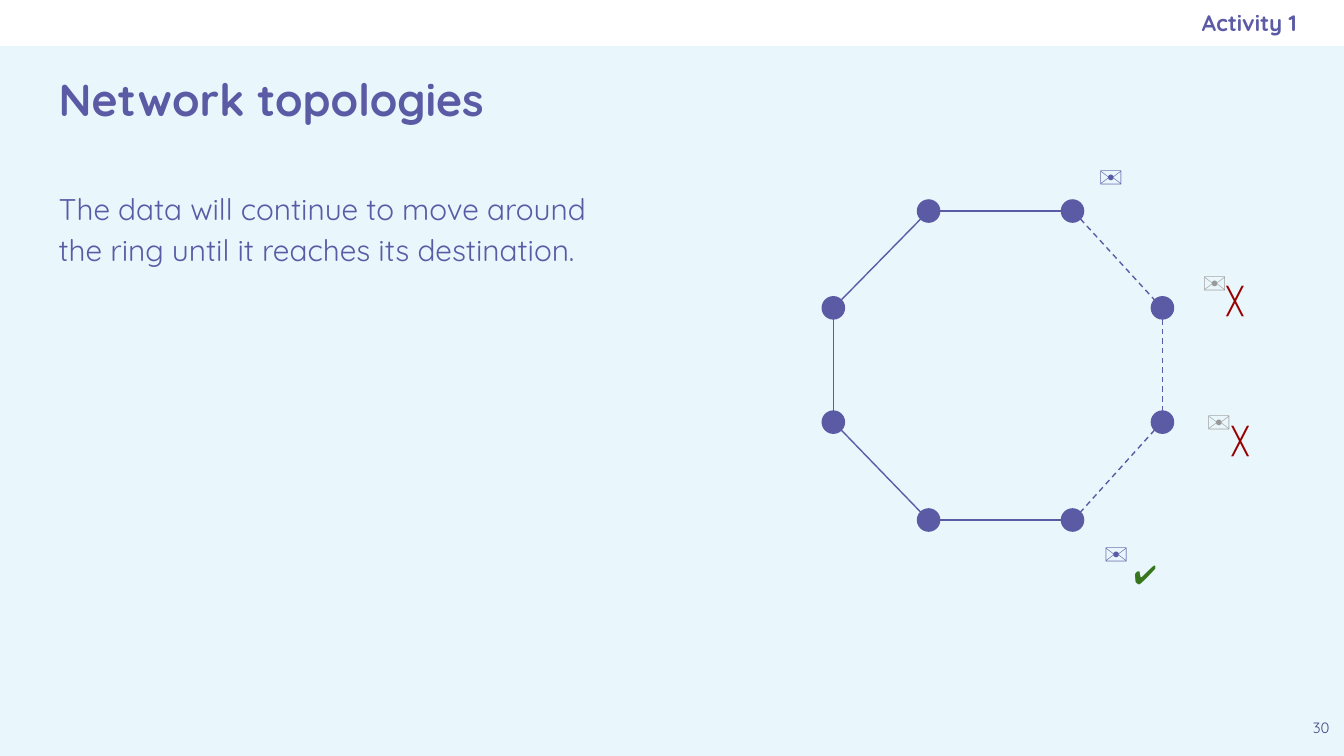
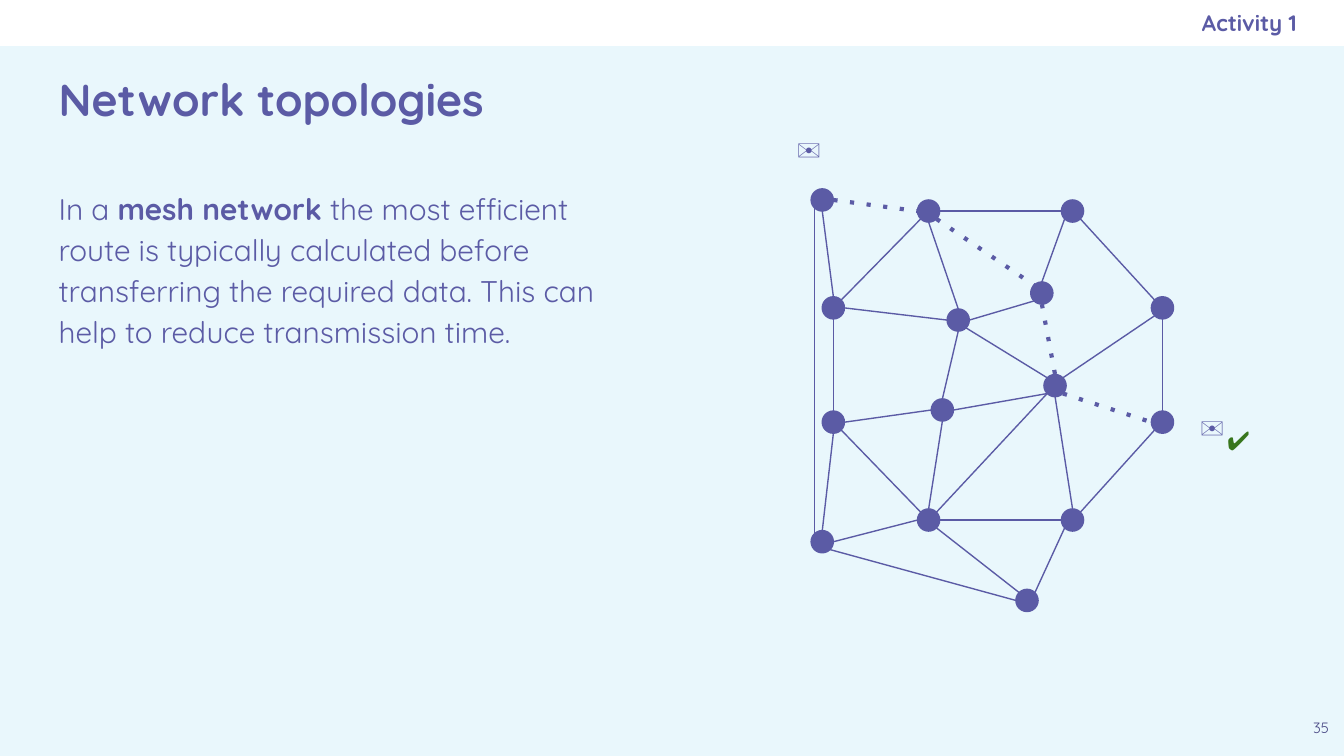
from dataclasses import dataclass
from enum import Enum
from typing import NamedTuple

import pptx
import pptx.dml.color
import pptx.enum.dml
import pptx.enum.shapes
import pptx.enum.text
import pptx.oxml.ns
import pptx.shapes.connector
import pptx.slide
import pptx.text.text
import pptx.util
from lxml import etree
from pptx.util import Cm


@dataclass(frozen=True)
class Theme:
    font: str = "Quicksand"
    background: str = "E9F7FC"
    band: str = "FFFFFF"
    main: str = "5B5BA5"
    page_number: str = "494985"
    faded: str = "999999"
    wrong: str = "980000"
    right: str = "38761D"
    title_size: int = 24
    envelope_size: int = 18
    body_size: int = 16
    mark_size: int = 14
    header_size: int = 12
    number_size: int = 8


THEME = Theme()
Align = pptx.enum.text.PP_ALIGN
Anchor = pptx.enum.text.MSO_ANCHOR
Preset = pptx.enum.shapes.MSO_SHAPE
SLIDE_WIDTH, SLIDE_HEIGHT = 25.4, 14.29
BAND_HEIGHT = 0.87
MARGIN = 0.86
INSET = 0.25
NODE_SIZE = 0.42
DIAGONAL = 0.71


class Span(NamedTuple):
    text: str
    bold: bool = False


class Frame(NamedTuple):
    """Left, top, width and height in centimetres."""
    left: float
    top: float
    width: float
    height: float

    def lengths(self) -> list[pptx.util.Length]:
        return [Cm(value) for value in self]


class Point(NamedTuple):
    x: float
    y: float


class Side(Enum):
    """Direction from a node's centre to a point on its rim."""
    N = (0, -1)
    NE = (DIAGONAL, -DIAGONAL)
    E = (1, 0)
    SE = (DIAGONAL, DIAGONAL)
    S = (0, 1)
    SW = (-DIAGONAL, DIAGONAL)
    W = (-1, 0)
    NW = (-DIAGONAL, -DIAGONAL)


class Link(NamedTuple):
    start: str
    start_side: Side
    end: str
    end_side: Side


class LinkStyle(NamedTuple):
    width: float
    dash: str = ""


class Symbol(NamedTuple):
    text: str
    size: int
    color: str
    width: float
    height: float


class Placed(NamedTuple):
    symbol: Symbol
    left: float
    top: float


@dataclass(frozen=True)
class Topology:
    number: str
    body: tuple[Span, ...]
    nodes: dict[str, Point]
    links: tuple[tuple[LinkStyle, tuple[Link, ...]], ...]
    symbols: tuple[Placed, ...]


PLAIN = LinkStyle(0.75)
DASHED = LinkStyle(0.75, "dash")
DOTTED = LinkStyle(2.25, "dot")

ENVELOPE = Symbol("✉", THEME.envelope_size, THEME.main, 1.19, 1.27)
FADED_ENVELOPE = ENVELOPE._replace(color=THEME.faded)
CROSS = Symbol("╳", THEME.mark_size, THEME.wrong, 1.09, 1.12)
TICK = CROSS._replace(text="✔", color=THEME.right)

RING_NODES = {
    "left upper": Point(15.75, 5.82),
    "top left": Point(17.55, 3.99),
    "top right": Point(20.27, 3.99),
    "right upper": Point(21.97, 5.82),
    "left lower": Point(15.75, 7.98),
    "right lower": Point(21.97, 7.98),
    "bottom left": Point(17.55, 9.83),
    "bottom right": Point(20.27, 9.83),
}
MESH_NODES = RING_NODES | {
    "top corner": Point(15.54, 3.78),
    "inner west": Point(18.11, 6.05),
    "inner south": Point(17.81, 7.75),
    "hub": Point(19.94, 7.29),
    "inner north": Point(19.69, 5.54),
    "foot": Point(19.41, 11.35),
    "bottom corner": Point(15.54, 10.24),
}

RING_RIGHT = (
    Link("top right", Side.SE, "right upper", Side.NW),
    Link("right upper", Side.S, "right lower", Side.N),
    Link("right lower", Side.SW, "bottom right", Side.NE),
)
RING_REST = (
    Link("top left", Side.E, "top right", Side.W),
    Link("bottom right", Side.W, "bottom left", Side.E),
    Link("bottom left", Side.NW, "left lower", Side.SE),
    Link("left lower", Side.N, "left upper", Side.S),
    Link("left upper", Side.NE, "top left", Side.SW),
)
MESH_LINKS = (
    Link("top corner", Side.S, "left upper", Side.N),
    Link("left lower", Side.S, "bottom corner", Side.N),
    Link("bottom corner", Side.E, "bottom left", Side.W),
    Link("top corner", Side.SW, "bottom corner", Side.NW),
    Link("bottom corner", Side.SE, "foot", Side.W),
    Link("bottom left", Side.SE, "foot", Side.NW),
    Link("bottom right", Side.SW, "foot", Side.NE),
    Link("inner south", Side.S, "bottom left", Side.N),
    Link("inner south", Side.W, "left lower", Side.E),
    Link("inner west", Side.S, "inner south", Side.N),
    Link("left upper", Side.E, "inner west", Side.W),
    Link("top left", Side.S, "inner west", Side.N),
    Link("inner north", Side.N, "top right", Side.SW),
    Link("inner west", Side.E, "inner north", Side.SW),
    Link("inner south", Side.E, "hub", Side.SW),
    Link("inner west", Side.SE, "hub", Side.NW),
    Link("hub", Side.NE, "right upper", Side.SW),
    Link("hub", Side.S, "bottom right", Side.N),
    Link("hub", Side.SW, "bottom left", Side.NE),
)
MESH_ROUTE = (
    Link("top corner", Side.E, "top left", Side.W),
    Link("top left", Side.SE, "inner north", Side.NW),
    Link("inner north", Side.S, "hub", Side.N),
    Link("hub", Side.SE, "right lower", Side.W),
)

TOPOLOGIES = (
    Topology(
        number="30",
        body=(Span("The data will continue to move around the ring "
                   "until it reaches its destination."),),
        nodes=RING_NODES,
        links=((PLAIN, RING_REST), (DASHED, RING_RIGHT)),
        symbols=(
            Placed(ENVELOPE, 20.52, 2.69),
            Placed(FADED_ENVELOPE, 22.48, 4.7),
            Placed(CROSS, 22.94, 5.13),
            Placed(FADED_ENVELOPE, 22.56, 7.32),
            Placed(CROSS, 23.04, 7.77),
            Placed(ENVELOPE, 20.62, 9.83),
            Placed(TICK, 21.18, 10.31),
        ),
    ),
    Topology(
        number="35",
        body=(
            Span("In a "),
            Span("mesh network", bold=True),
            Span(" the most efficient route is typically calculated before "
                 "transferring the required data. This can help to reduce "
                 "transmission time."),
        ),
        nodes=MESH_NODES,
        links=((PLAIN, RING_REST + RING_RIGHT + MESH_LINKS),
               (DOTTED, MESH_ROUTE)),
        symbols=(
            Placed(ENVELOPE, 14.81, 2.18),
            Placed(ENVELOPE, 22.43, 7.44),
            Placed(TICK, 22.94, 7.77),
        ),
    ),
)


def rgb(color: str) -> pptx.dml.color.RGBColor:
    return pptx.dml.color.RGBColor.from_string(color)


def add_text(page: pptx.slide.Slide, frame: Frame, spans: tuple[Span, ...],
             size: int, color: str = THEME.main, align: Align = Align.LEFT,
             anchor: Anchor = Anchor.TOP,
             right_inset: float = INSET) -> pptx.text.text.TextFrame:
    box = page.shapes.add_textbox(*frame.lengths()).text_frame
    box.word_wrap = True
    box.vertical_anchor = anchor
    box.margin_left = box.margin_top = box.margin_bottom = Cm(INSET)
    box.margin_right = Cm(right_inset)
    para = box.paragraphs[0]
    para.alignment = align
    for span in spans:
        run = para.add_run()
        run.text = span.text
        run.font.name = THEME.font
        run.font.size = pptx.util.Pt(size)
        run.font.bold = span.bold
        run.font.color.rgb = rgb(color)
    return box


def add_page_frame(page: pptx.slide.Slide, number: str) -> None:
    """Draw the background, band, header, title and page number."""
    page.background.fill.solid()
    page.background.fill.fore_color.rgb = rgb(THEME.background)
    band = page.shapes.add_shape(
        Preset.RECTANGLE, *Frame(0, 0, SLIDE_WIDTH, BAND_HEIGHT).lengths())
    band.shadow.inherit = False
    band.fill.solid()
    band.fill.fore_color.rgb = rgb(THEME.band)
    band.line.fill.background()
    add_text(page, Frame(14.6, 0, 9.91, BAND_HEIGHT),
             (Span("Activity 1", bold=True),), THEME.header_size,
             align=Align.RIGHT, anchor=Anchor.MIDDLE, right_inset=0)
    add_text(page, Frame(MARGIN, 0.89, SLIDE_WIDTH - 2 * MARGIN, 1.93),
             (Span("Network topologies", bold=True),), THEME.title_size,
             anchor=Anchor.MIDDLE)
    add_text(page, Frame(SLIDE_WIDTH - MARGIN, 13.42, MARGIN, MARGIN),
             (Span(number),), THEME.number_size, THEME.page_number,
             Align.CENTER)


def add_body(page: pptx.slide.Slide, spans: tuple[Span, ...]) -> None:
    box = add_text(page, Frame(MARGIN, 3.25, 11.38, 10.16), spans,
                   THEME.body_size)
    box.paragraphs[0].line_spacing = 1.15
    box.paragraphs[0].space_after = pptx.util.Pt(16)


def add_node(page: pptx.slide.Slide, center: Point) -> None:
    radius = NODE_SIZE / 2
    frame = Frame(center.x - radius, center.y - radius, NODE_SIZE, NODE_SIZE)
    node = page.shapes.add_shape(Preset.OVAL, *frame.lengths())
    node.shadow.inherit = False
    node.fill.solid()
    node.fill.fore_color.rgb = rgb(THEME.main)
    node.line.color.rgb = rgb(THEME.main)
    node.line.width = pptx.util.Pt(PLAIN.width)


def rim_point(center: Point, side: Side) -> list[pptx.util.Length]:
    return [Cm(middle + step * NODE_SIZE / 2)
            for middle, step in zip(center, side.value)]


def add_link(page: pptx.slide.Slide, nodes: dict[str, Point], link: Link,
             style: LinkStyle) -> None:
    line = page.shapes.add_connector(
        pptx.enum.shapes.MSO_CONNECTOR.STRAIGHT,
        *rim_point(nodes[link.start], link.start_side),
        *rim_point(nodes[link.end], link.end_side))
    line.line.color.rgb = rgb(THEME.main)
    line.line.width = pptx.util.Pt(style.width)
    qn = pptx.oxml.ns.qn
    if style.dash:
        line.line.dash_style = pptx.enum.dml.MSO_LINE.DASH
        next(line.element.iter(qn("a:prstDash"))).set("val", style.dash)
    etree.SubElement(line.element.find(qn("p:spPr")), qn("a:effectLst"))


def add_symbol(page: pptx.slide.Slide, placed: Placed) -> None:
    symbol = placed.symbol
    frame = Frame(placed.left, placed.top, symbol.width, symbol.height)
    box = add_text(page, frame, (Span(symbol.text),), symbol.size, symbol.color)
    box.auto_size = pptx.enum.text.MSO_AUTO_SIZE.SHAPE_TO_FIT_TEXT


def add_topology(deck: pptx.presentation.Presentation,
                 topology: Topology) -> None:
    page = deck.slides.add_slide(deck.slide_layouts[6])
    add_page_frame(page, topology.number)
    add_body(page, topology.body)
    for center in topology.nodes.values():
        add_node(page, center)
    for style, links in topology.links:
        for link in links:
            add_link(page, topology.nodes, link, style)
    for placed in topology.symbols:
        add_symbol(page, placed)


def main() -> None:
    deck = pptx.Presentation()
    deck.slide_width, deck.slide_height = Cm(SLIDE_WIDTH), Cm(SLIDE_HEIGHT)
    for topology in TOPOLOGIES:
        add_topology(deck, topology)
    deck.save("out.pptx")


if __name__ == "__main__":
    main()
